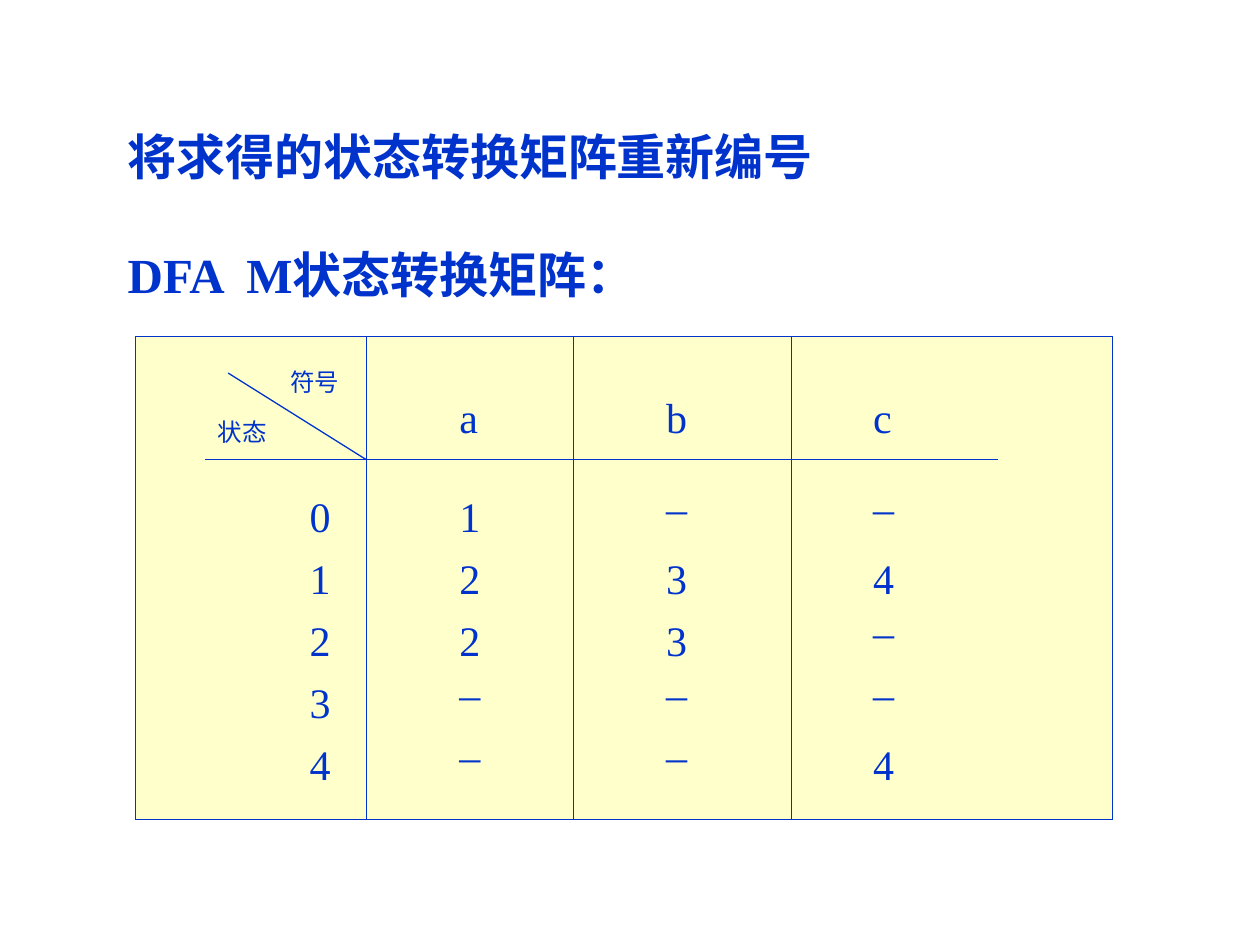
from lxml import etree
from pptx import Presentation
from pptx.dml.color import RGBColor
from pptx.enum.shapes import MSO_CONNECTOR
from pptx.enum.text import MSO_ANCHOR, MSO_AUTO_SIZE, PP_ALIGN
from pptx.oxml import parse_xml
from pptx.oxml.ns import nsdecls, qn
from pptx.util import Cm, Pt

BLUE = RGBColor(0x00, 0x33, 0xCC)
CREAM = RGBColor(0xFF, 0xFF, 0xCC)
FONT = "Times New Roman"
LINE = MSO_CONNECTOR.STRAIGHT
LEFT = PP_ALIGN.LEFT
MIDDLE = MSO_ANCHOR.MIDDLE
TOP = MSO_ANCHOR.TOP
FIXED = MSO_AUTO_SIZE.NONE


def put(para, text, size=24, bold=False, before=0, space=1.0, indent=0):
    para.alignment = LEFT
    para.space_before = Pt(before)
    para.line_spacing = space
    if indent:
        para._p.get_or_add_pPr().set("marL", str(Cm(indent)))
    run = para.add_run()
    run.text = text
    run.font.name = FONT
    run.font.size = Pt(size)
    run.font.bold = bold
    run.font.color.rgb = BLUE


def edge(cell, side, shown):
    paint = f'<a:solidFill><a:srgbClr val="{BLUE}"/></a:solidFill>' if shown else "<a:noFill/>"
    xml = f'<a:{side} {nsdecls("a")} w="{Pt(0.75)}">{paint}</a:{side}>'
    cell._tc.get_or_add_tcPr().append(parse_xml(xml))


deck = Presentation()
deck.slide_width, deck.slide_height = Cm(25.4), Cm(19.05)
slide = deck.slides.add_slide(deck.slide_layouts[5])

title = slide.shapes.title
title.left, title.top, title.width, title.height = Cm(2.32), Cm(2.53), Cm(16), Cm(3.6)
frame = title.text_frame
frame.auto_size = FIXED
frame.vertical_anchor = MIDDLE
put(frame.paragraphs[0], "将求得的状态转换矩阵重新编号", size=28, bold=True)
put(frame.add_paragraph(), "DFA  M状态转换矩阵：", size=28, bold=True, before=33.5)

ROWS = [
    ["", "a", "b", "c"],
    ["0", "1", "_", "_"],
    ["1", "2", "3", "4"],
    ["2", "2", "3", "_"],
    ["3", "_", "_", "_"],
    ["4", "_", "_", "4"],
]
WIDE = [4.65, 4.17, 4.39, 6.48]
TALL = [2.49, 1.75, 1.25, 1.25, 1.25, 1.75]
INSET = [3.5, 1.87, 1.87, 1.65]
DROP = [1.21, 0.71, 0.21, 0.21, 0.21, 0.21]
X, Y = 2.74, 6.78

grid = slide.shapes.add_table(6, 4, Cm(X), Cm(Y), Cm(sum(WIDE)), Cm(sum(TALL))).table
for col, wide in zip(grid.columns, WIDE):
    col.width = Cm(wide)
for row, tall in zip(grid.rows, TALL):
    row.height = Cm(tall)

for r, row in enumerate(ROWS):
    for c, text in enumerate(row):
        cell = grid.cell(r, c)
        cell.margin_left, cell.margin_right = Cm(INSET[c]), 0
        cell.margin_top, cell.margin_bottom = Cm(DROP[r]), 0
        cell.vertical_anchor = TOP
        edge(cell, "lnL", c == 0)
        edge(cell, "lnR", c == len(row) - 1)
        edge(cell, "lnT", r == 0)
        edge(cell, "lnB", r == len(ROWS) - 1)
        cell.fill.solid()
        cell.fill.fore_color.rgb = CREAM
        if text:
            put(cell.text_frame.paragraphs[0], text, space=0.4 if text == "_" else 1.0)

corner = grid.cell(0, 0)
corner.margin_left, corner.margin_top = Cm(1.65), Cm(0.54)
put(corner.text_frame.paragraphs[0], "符号", size=14, indent=1.46)
put(corner.text_frame.add_paragraph(), "状态", size=14, before=8)

base, foot = Y + TALL[0], Y + sum(TALL)
rules = [(4.14, base, 20.12, base), (4.6, 7.52, X + WIDE[0], base)]
for n in range(1, len(WIDE)):
    x = X + sum(WIDE[:n])
    rules.append((x, Y, x, foot))
for ends in rules:
    rule = slide.shapes.add_connector(LINE, *map(Cm, ends))
    rule.line.color.rgb = BLUE
    rule.line.width = Pt(0.75)
    etree.SubElement(rule._element.spPr, qn("a:effectLst"))

deck.save("out.pptx")
